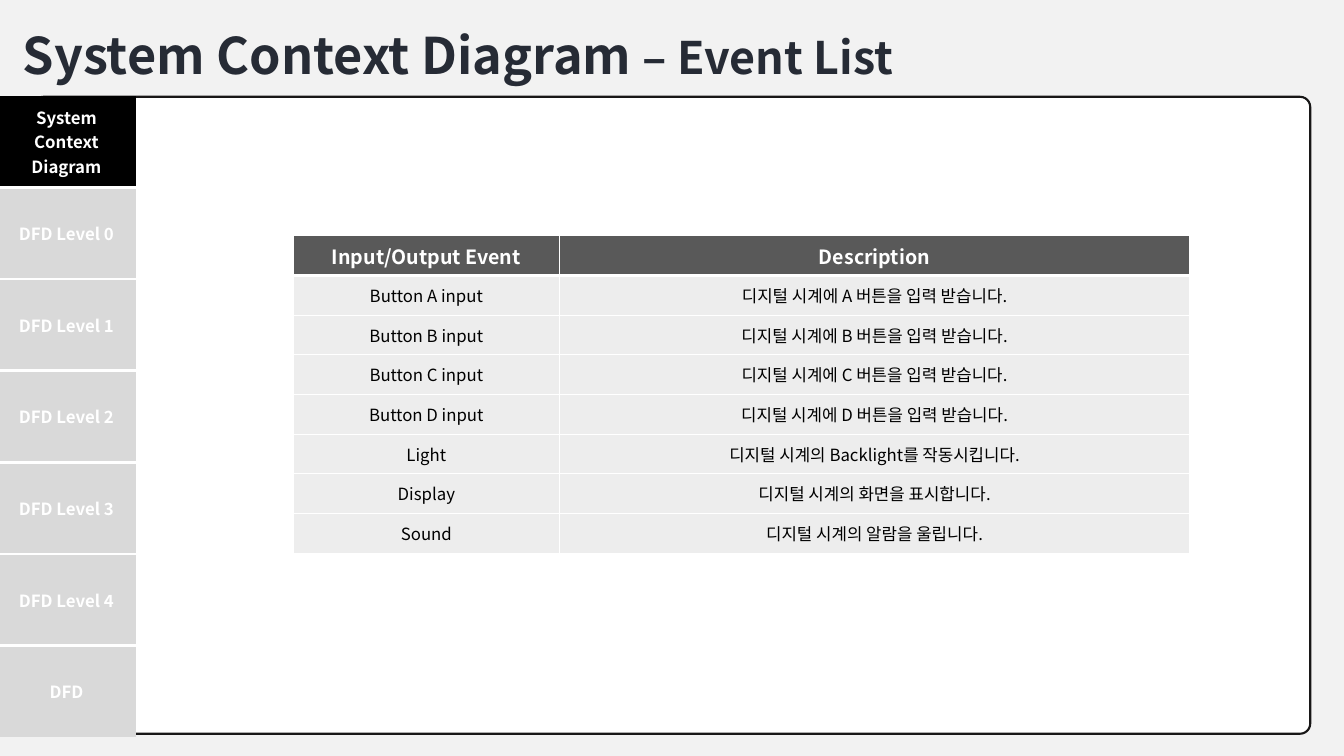
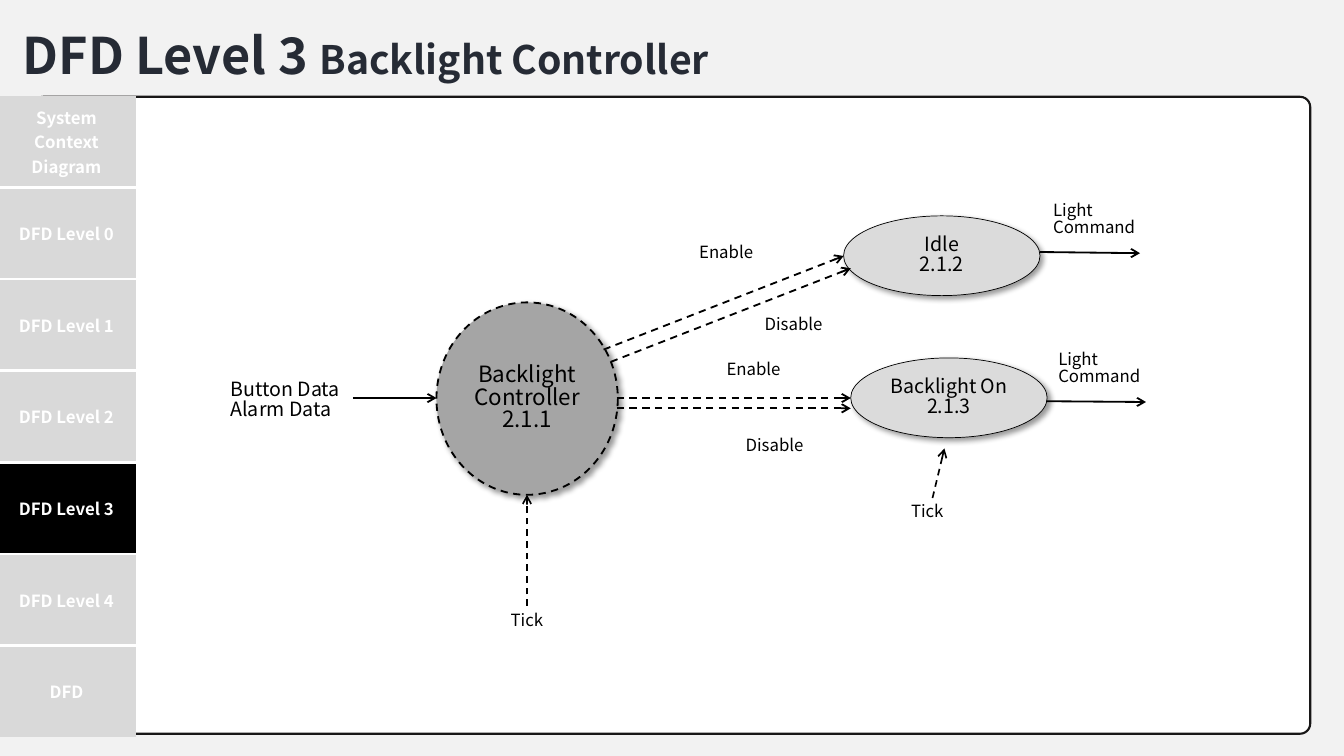
"""Build two slides on a digital watch design: an event list and a data flow diagram."""
import pptx
import pptx.dml.color
import pptx.enum.dml
import pptx.enum.shapes
import pptx.enum.text
import pptx.oxml
import pptx.oxml.ns
import pptx.util
from lxml import etree

Cm, Pt, qn = pptx.util.Cm, pptx.util.Pt, pptx.oxml.ns.qn
SHAPE = pptx.enum.shapes.MSO_SHAPE
ALIGN = pptx.enum.text.PP_ALIGN
MIDDLE = pptx.enum.text.MSO_ANCHOR.MIDDLE
GROW = pptx.enum.text.MSO_AUTO_SIZE.SHAPE_TO_FIT_TEXT
DASH = pptx.enum.dml.MSO_LINE.DASH
DRAWING = "http://schemas.openxmlformats.org/drawingml/2006/main"
FONT = "Noto Sans CJK KR"
BLACK, WHITE = "000000", "FFFFFF"
BACKGROUND, OUTLINE, TITLE = "F2F2F2", "181717", "262B35"
TAB, HEADER, ROW = "D9D9D9", "595959", "EDEDED"
CONTROLLER, STATE = "A5A5A5", "DBDBDB"
NO_TABLE_STYLE = "{2D5ABB26-0587-4C30-8999-92F81FD0307C}"
TIGHT = 0.84


def ink(colour):
    return pptx.dml.color.RGBColor.from_string(colour)


def write(frame, text, size=12, colour=BLACK, bold=False, align=ALIGN.LEFT, spacing=1.0):
    for number, line in enumerate(text.split("\n")):
        para = frame.add_paragraph() if number else frame.paragraphs[-1]
        para.alignment = align
        para.line_spacing = spacing
        span = para.add_run()
        span.text = line
        span.font.name = FONT
        span.font.size = Pt(size)
        span.font.bold = bold
        span.font.color.rgb = ink(colour)
        etree.SubElement(span._r.get_or_add_rPr(), qn("a:ea"), typeface=FONT)


deck = pptx.Presentation()
deck.slide_width, deck.slide_height = Cm(33.87), Cm(19.05)
deck.slide_master.background.fill.solid()
deck.slide_master.background.fill.fore_color.rgb = ink(BACKGROUND)

sections = ["System Context Diagram"] + [f"DFD Level {level}" for level in range(5)] + ["DFD"]
headings = [
    (" System Context Diagram ", "– Event List", 32, 0),
    (" DFD Level 3 ", "Backlight Controller", 28, 4),
]
pages = []
tables = []
borders = []

for heading, subheading, subheading_size, current in headings:
    page = deck.slides.add_slide(deck.slide_layouts[5])
    pages.append(page)

    title = page.shapes.title
    title.left, title.top, title.width, title.height = Cm(0.03), Cm(-0.15), Cm(33.86), Cm(2.26)
    title.text_frame.word_wrap = True
    title.text_frame.auto_size = GROW
    title.text_frame.vertical_anchor = MIDDLE
    write(title.text_frame, heading, size=36, colour=TITLE, bold=True, spacing=1.5)
    write(title.text_frame, subheading, size=subheading_size, colour=TITLE, bold=True, spacing=1.5)

    panel = page.shapes.add_shape(
        SHAPE.ROUNDED_RECTANGLE, Cm(0.84), Cm(2.44), Cm(32.18), Cm(16.05))
    panel.adjustments[0] = 0.016
    panel.shadow.inherit = False
    panel.fill.solid()
    panel.fill.fore_color.rgb = ink(WHITE)
    panel.line.color.rgb = ink(OUTLINE)
    panel.line.width = Pt(1.5)

    menu = page.shapes.add_table(
        len(sections), 1, Cm(-0.08), Cm(2.41), Cm(3.51), Cm(2.31) * len(sections))
    tables.append(menu)
    for index, section in enumerate(sections):
        cell = menu.table.cell(index, 0)
        cell.fill.solid()
        cell.fill.fore_color.rgb = ink(BLACK if index == current else TAB)
        write(cell.text_frame, section, colour=WHITE, bold=True, align=ALIGN.CENTER)
        widths = {}
        if index > 0:
            widths["T"] = 2.25
        if index < len(sections) - 1:
            widths["B"] = 2.25
        borders.append((cell, widths))

event_page, diagram_page = pages

events = [("Input/Output Event", "Description")]
events += [(f"Button {key} input", f"디지털 시계에 {key} 버튼을 입력 받습니다.") for key in "ABCD"]
events += [
    ("Light", "디지털 시계의 Backlight를 작동시킵니다."),
    ("Display", "디지털 시계의 화면을 표시합니다."),
    ("Sound", "디지털 시계의 알람을 울립니다."),
]
event_list = event_page.shapes.add_table(
    len(events), 2, Cm(7.39), Cm(5.94), Cm(22.59), Cm(1) * len(events))
tables.append(event_list)
for column, width in zip(event_list.table.columns, (6.71, 15.88)):
    column.width = Cm(width)
for index, event in enumerate(events):
    is_header = index == 0
    for column, text in enumerate(event):
        cell = event_list.table.cell(index, column)
        cell.fill.solid()
        cell.fill.fore_color.rgb = ink(HEADER if is_header else ROW)
        write(cell.text_frame, text, size=14 if is_header else 12,
              colour=WHITE if is_header else BLACK, bold=is_header, align=ALIGN.CENTER)
        borders.append((cell, {
            "L": 1, "R": 1, "T": 3 if index == 1 else 1, "B": 3 if is_header else 1}))

for frame in tables:
    frame.table.first_row = False
    frame.table.horz_banding = False
    frame.element.find(".//" + qn("a:tableStyleId")).text = NO_TABLE_STYLE

for cell, widths in borders:
    cell.vertical_anchor = MIDDLE
    properties = cell._tc.get_or_add_tcPr()
    sides = [side for side in "LRTB" if side in widths]
    for position, side in enumerate(sides):
        properties.insert(position, pptx.oxml.parse_xml(
            f'<a:ln{side} xmlns:a="{DRAWING}" w="{Pt(widths[side])}"><a:solidFill>'
            f'<a:srgbClr val="{WHITE}"/></a:solidFill></a:ln{side}>'))

processes = [
    ("Backlight\nController\n2.1.1", 11, 7.62, 4.57, 4.85, 16, CONTROLLER, 1.3, DASH),
    ("Backlight On\n2.1.3", 21.44, 9.02, 4.95, 2.01, 14, STATE, 0.5, None),
    ("Idle\n2.1.2", 21.26, 5.44, 4.95, 2.01, 14, STATE, 0.5, None),
]
for text, left, top, width, height, size, colour, weight, dash in processes:
    process = diagram_page.shapes.add_shape(
        SHAPE.OVAL, Cm(left), Cm(top), Cm(width), Cm(height))
    process.shadow.inherit = False
    process.fill.solid()
    process.fill.fore_color.rgb = ink(colour)
    process.line.color.rgb = ink(BLACK)
    process.line.width = Pt(weight)
    process.line.dash_style = dash
    process.text_frame.word_wrap = False
    process.text_frame.vertical_anchor = MIDDLE
    write(process.text_frame, text, size=size, align=ALIGN.CENTER, spacing=TIGHT)
    process.element.spPr.find(qn("a:effectLst")).append(pptx.oxml.parse_xml(
        f'<a:outerShdw xmlns:a="{DRAWING}" blurRad="{Pt(4)}" dist="{Pt(3)}" dir="2700000" '
        f'algn="tl" rotWithShape="0"><a:srgbClr val="{BLACK}"><a:alpha val="40000"/>'
        '</a:srgbClr></a:outerShdw>'))

flows = [
    (13.28, 15.27, 13.28, 12.47, 1.2, DASH),
    (23.5, 12.55, 23.8, 11.3, 1.2, DASH),
    (15.21, 8.81, 21.26, 6.45, 1.3, DASH),
    (15.39, 9.12, 21.44, 6.76, 1.3, DASH),
    (15.54, 10.03, 21.44, 10.03, 1.3, DASH),
    (15.54, 10.29, 21.44, 10.29, 1.3, DASH),
    (8.89, 10.03, 11, 10.03, 1.3, None),
    (26.21, 6.35, 28.73, 6.38, 1.3, None),
    (26.37, 10.11, 28.88, 10.13, 1.3, None),
]
for start_x, start_y, end_x, end_y, weight, dash in flows:
    flow = diagram_page.shapes.add_connector(
        pptx.enum.shapes.MSO_CONNECTOR.STRAIGHT,
        Cm(start_x), Cm(start_y), Cm(end_x), Cm(end_y))
    flow.line.color.rgb = ink(BLACK)
    flow.line.width = Pt(weight)
    flow.line.dash_style = dash
    properties = flow.element.spPr
    etree.SubElement(properties.find(qn("a:ln")), qn("a:tailEnd"), type="arrow")
    etree.SubElement(properties, qn("a:effectLst"))

labels = [
    ("Tick", 12.62, 15.32, 1.5, 0.76, 12),
    ("Tick", 22.71, 12.57, 3.68, 0.76, 12),
    ("Button Data\nAlarm Data", 5.56, 9.47, 3.33, 1.45, 14),
    ("Light\nCommand", 26.29, 5, 3.33, 1.27, 12),
    ("Light\nCommand", 26.42, 8.74, 3.33, 1.27, 12),
    ("Enable", 17.37, 6.05, 2.24, 0.76, 12),
    ("Disable", 19.02, 7.87, 2.24, 0.76, 12),
    ("Enable", 18.06, 8.99, 2.24, 0.76, 12),
    ("Disable", 18.54, 10.92, 2.24, 0.76, 12),
]
for text, left, top, width, height, size in labels:
    box = diagram_page.shapes.add_textbox(Cm(left), Cm(top), Cm(width), Cm(height))
    box.text_frame.word_wrap = True
    box.text_frame.auto_size = GROW
    write(box.text_frame, text, size=size, spacing=TIGHT)

deck.save("out.pptx")
